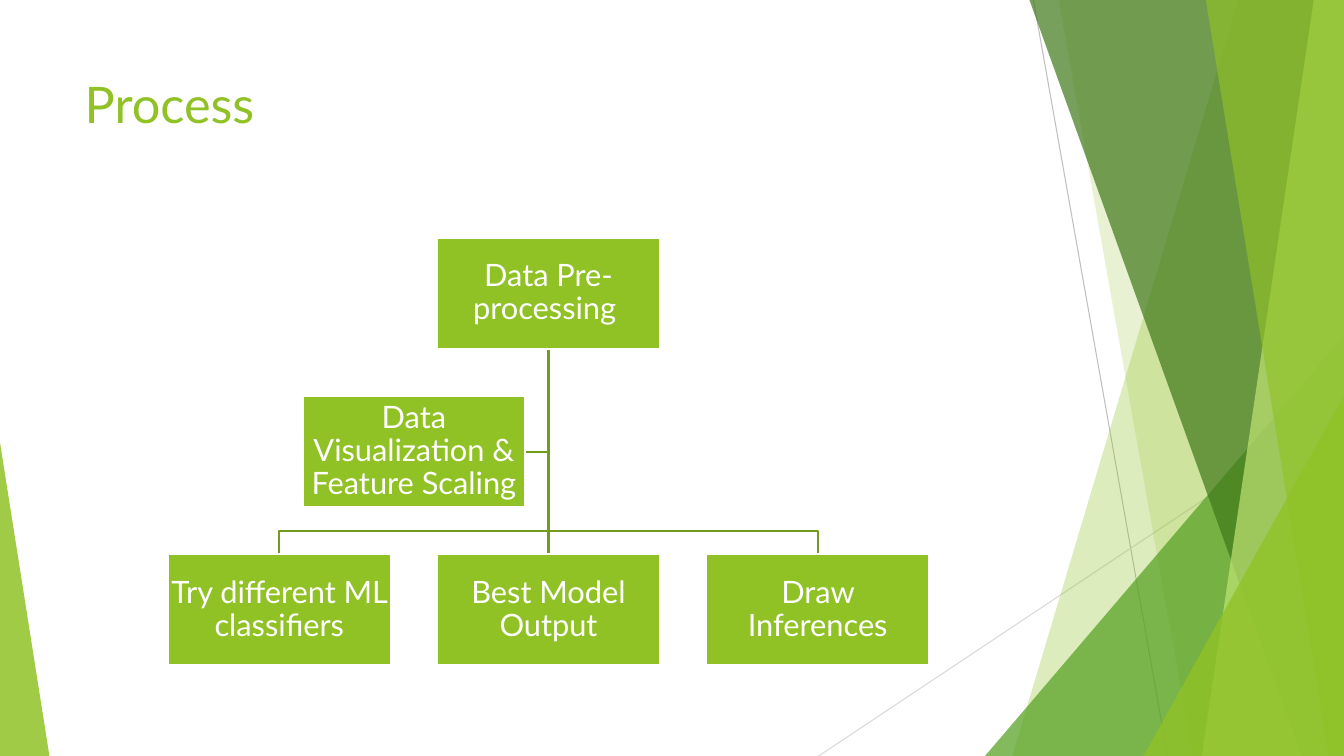
"""Build the Process slide: a small flow tree beside a faceted green border."""
from pptx import Presentation
from pptx.dml.color import RGBColor
from pptx.enum import shapes, text
from pptx.oxml import ns, xmlchemy
from pptx.util import Inches, Pt

GREEN = RGBColor(0x90, 0xC2, 0x26)
MID_GREEN = RGBColor(0x54, 0xA0, 0x21)
DARK_GREEN = RGBColor(0x3F, 0x78, 0x19)
PALE_GREEN = RGBColor(0xC0, 0xE4, 0x74)
LINE_GREEN = RGBColor(0x73, 0x9B, 0x1E)
GREY = RGBColor(0xBF, 0xBF, 0xBF)
LIGHT_GREY = RGBColor(0xD9, 0xD9, 0xD9)
WHITE = RGBColor(0xFF, 0xFF, 0xFF)
FONT = "Lato"
WIDTH, HEIGHT = 13.33, 7.5

TITLE = "Process "
ROOT = "Data Pre-processing "
ASSISTANT = "Data Visualization & Feature Scaling"
CHILDREN = ["Try different ML classifiers", "Best Model Output", "Draw Inferences"]

HAIRLINES = [((10.25, 0), (11.58, HEIGHT), GREY), ((WIDTH, 4.03), (8.12, HEIGHT), LIGHT_GREY)]
# Each facet: top-left x, bottom-left x, colour, opacity
BACK_FACETS = [(12.28, 10.04, GREEN, 30), (10.5, 11.83, GREEN, 20)]
FRONT_FACETS = [(10.21, 12.91, DARK_GREEN, 70), (13.03, 11.92, PALE_GREEN, 70),
                (11.96, 13.18, GREEN, 65)]
BACK_CORNER = (9.77, 3.33, 3.56, 4.17, 1, MID_GREEN, 72)
FRONT_CORNERS = [(11.34, 3.93, 1.99, 3.57, 1, GREEN, 80), (0, 4.39, 0.49, 3.11, 0, GREEN, 85)]

BOX_WIDTH, BOX_HEIGHT = 2.21, 1.1
CENTER_X, COLUMN_STEP = 5.44, 2.67
ROOT_Y, ASSISTANT_Y, CHILD_Y = 2.36, 3.93, 5.5
ASSISTANT_X = CENTER_X - COLUMN_STEP / 2
BRANCH_Y = 5.27


def paint(shape, color, opacity):
    shape.shadow.inherit = False
    shape.line.fill.background()
    shape.fill.solid()
    shape.fill.fore_color.rgb = color
    alpha = xmlchemy.OxmlElement("a:alpha")
    alpha.set("val", str(opacity * 1000))
    shape._element.spPr.find(".//" + ns.qn("a:srgbClr")).append(alpha)


def add_outline(points, close):
    corners = [(Inches(x), Inches(y)) for x, y in points]
    builder = slide.shapes.build_freeform(*corners[0])
    builder.add_line_segments(corners[1:], close=close)
    return builder.convert_to_shape()


def add_facet(top_x, bottom_x, color, opacity):
    points = [(top_x, 0), (WIDTH, 0), (WIDTH, HEIGHT), (bottom_x, HEIGHT)]
    paint(add_outline(points, True), color, opacity)


def add_corner(left, top, width, height, apex, color, opacity):
    box = [Inches(value) for value in (left, top, width, height)]
    shape = slide.shapes.add_shape(shapes.MSO_SHAPE.ISOSCELES_TRIANGLE, *box)
    shape.adjustments[0] = apex
    paint(shape, color, opacity)


def add_hairline(start, end, color):
    ends = [Inches(value) for value in start + end]
    line = slide.shapes.add_connector(shapes.MSO_CONNECTOR.STRAIGHT, *ends)
    line.line.color.rgb = color
    line.line.width = Pt(0.75)
    line._element.spPr.append(xmlchemy.OxmlElement("a:effectLst"))


def add_branch(points):
    shape = add_outline(points, False)
    shape.shadow.inherit = False
    shape.fill.background()
    shape.line.color.rgb = LINE_GREEN
    shape.line.width = Pt(1.5)


def add_run(paragraph, words, size, color):
    run = paragraph.add_run()
    run.text = words
    run.font.name = FONT
    run.font.size = Pt(size)
    run.font.color.rgb = color


def add_box(center_x, top, words):
    shape = slide.shapes.add_shape(
        shapes.MSO_SHAPE.RECTANGLE, Inches(center_x - BOX_WIDTH / 2), Inches(top),
        Inches(BOX_WIDTH), Inches(BOX_HEIGHT))
    shape.shadow.inherit = False
    shape.fill.solid()
    shape.fill.fore_color.rgb = GREEN
    shape.line.color.rgb = WHITE
    shape.line.width = Pt(1.5)
    frame = shape.text_frame
    frame.word_wrap = True
    frame.vertical_anchor = text.MSO_ANCHOR.MIDDLE
    frame.margin_left = frame.margin_right = Inches(0.02)
    frame.margin_top = frame.margin_bottom = Inches(0.02)
    paragraph = frame.paragraphs[0]
    paragraph.alignment = text.PP_ALIGN.CENTER
    paragraph.line_spacing = 0.9
    add_run(paragraph, words, 22, WHITE)


presentation = Presentation()
presentation.slide_width, presentation.slide_height = Inches(WIDTH), Inches(HEIGHT)
slide = presentation.slides.add_slide(presentation.slide_layouts[5])

for hairline in HAIRLINES:
    add_hairline(*hairline)
for facet in BACK_FACETS:
    add_facet(*facet)
add_corner(*BACK_CORNER)
for facet in FRONT_FACETS:
    add_facet(*facet)
for corner in FRONT_CORNERS:
    add_corner(*corner)

title = slide.shapes.title
title.left, title.top, title.width, title.height = map(Inches, (0.74, 0.67, 9.4, 0.71))
title.text_frame.vertical_anchor = text.MSO_ANCHOR.MIDDLE
title.text_frame.paragraphs[0].alignment = text.PP_ALIGN.LEFT
add_run(title.text_frame.paragraphs[0], TITLE, 36, GREEN)

trunk = (CENTER_X, ROOT_Y + BOX_HEIGHT)
assistant_middle = ASSISTANT_Y + BOX_HEIGHT / 2
child_centers = [CENTER_X + COLUMN_STEP * (index - 1) for index in range(len(CHILDREN))]
add_branch([trunk, (CENTER_X, assistant_middle), (ASSISTANT_X + BOX_WIDTH / 2, assistant_middle)])
for child_x in child_centers:
    turns = [] if child_x == CENTER_X else [(CENTER_X, BRANCH_Y), (child_x, BRANCH_Y)]
    add_branch([trunk, *turns, (child_x, CHILD_Y)])

add_box(CENTER_X, ROOT_Y, ROOT)
for child_x, words in zip(child_centers, CHILDREN):
    add_box(child_x, CHILD_Y, words)
add_box(ASSISTANT_X, ASSISTANT_Y, ASSISTANT)

presentation.save("out.pptx")
